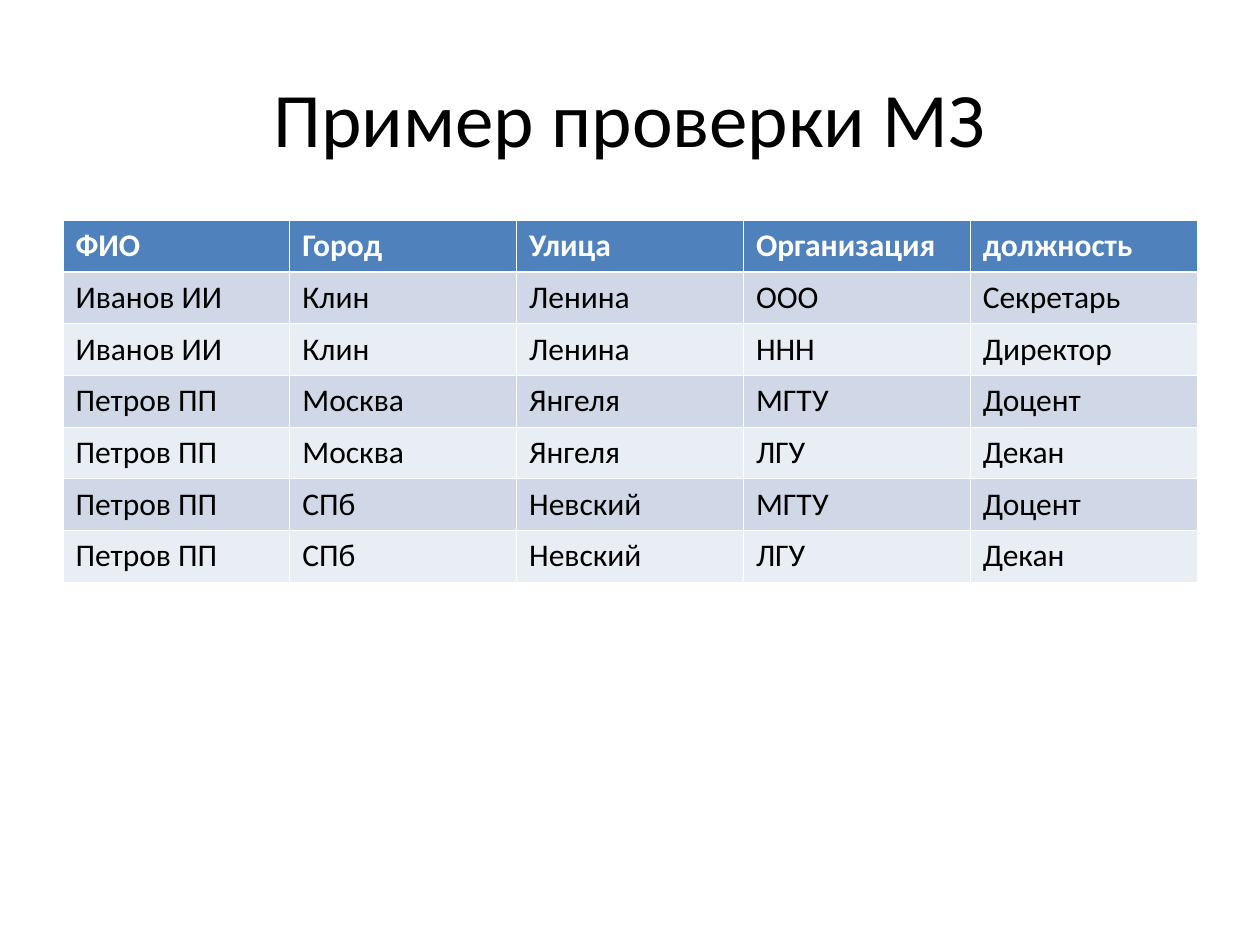
from dataclasses import dataclass

from lxml import etree
from pptx import Presentation
from pptx import util as u
from pptx.dml.color import RGBColor
from pptx.enum import text
from pptx.oxml import ns

COLORS = {
    "header": "4F81BD",
    "odd": "D0D8E8",
    "even": "E9EDF4",
    "light": "FFFFFF",
    "dark": "000000",
}
FONT = "Calibri"
THIN, THICK = 0.45, 1.47
ROW_HEIGHT = 0.41
COLUMN_WIDTH = 1.8

HEADINGS = ("ФИО", "Город", "Улица", "Организация", "должность")
PEOPLE = (
    ("Иванов ИИ", "Клин", "Ленина", "ООО", "Секретарь"),
    ("Иванов ИИ", "Клин", "Ленина", "ННН", "Директор"),
    ("Петров ПП", "Москва", "Янгеля", "МГТУ", "Доцент"),
    ("Петров ПП", "Москва", "Янгеля", "ЛГУ", "Декан"),
    ("Петров ПП", "СПб", "Невский", "МГТУ", "Доцент"),
    ("Петров ПП", "СПб", "Невский", "ЛГУ", "Декан"),
)


@dataclass(frozen=True)
class RowStyle:
    fill: str
    ink: str = "dark"
    bold: bool = False
    top: float = THIN
    bottom: float = THIN


def row_style(index: int) -> RowStyle:
    if index == 0:
        return RowStyle("header", "light", True, bottom=THICK)
    return RowStyle("odd" if index % 2 else "even", top=THICK if index == 1 else THIN)


def add_run(paragraph, wording: str, size: int, ink: str, bold: bool = False) -> None:
    run = paragraph.add_run()
    run.text = wording
    run.font.name = FONT
    run.font.size = u.Pt(size)
    run.font.bold = bold
    run.font.color.rgb = RGBColor.from_string(COLORS[ink])


def add_borders(cell, style: RowStyle) -> None:
    properties = cell._tc.get_or_add_tcPr()
    widths = {"lnL": THIN, "lnR": THIN, "lnT": style.top, "lnB": style.bottom}
    for side, width in widths.items():
        border = etree.SubElement(properties, ns.qn(f"a:{side}"), w=str(u.Pt(width)))
        fill = etree.SubElement(border, ns.qn("a:solidFill"))
        etree.SubElement(fill, ns.qn("a:srgbClr"), val=COLORS["light"])


def fill_cell(cell, wording: str, style: RowStyle) -> None:
    add_borders(cell, style)
    cell.fill.solid()
    cell.fill.fore_color.rgb = RGBColor.from_string(COLORS[style.fill])
    add_run(cell.text_frame.paragraphs[0], wording, 18, style.ink, style.bold)


def add_heading(slide, wording: str) -> None:
    heading = slide.shapes.title
    heading.left, heading.top = u.Inches(0.5), u.Inches(0.3)
    heading.width, heading.height = u.Inches(9), u.Inches(1.25)
    heading.text_frame.vertical_anchor = text.MSO_ANCHOR.MIDDLE
    paragraph = heading.text_frame.paragraphs[0]
    paragraph.alignment = text.PP_ALIGN.CENTER
    add_run(paragraph, wording, 44, "dark")


def add_people_table(slide) -> None:
    rows = (HEADINGS, *PEOPLE)
    people = slide.shapes.add_table(
        len(rows), len(HEADINGS), u.Inches(0.5), u.Inches(1.75),
        u.Inches(COLUMN_WIDTH * len(HEADINGS)), u.Inches(ROW_HEIGHT * len(rows)),
    ).table
    for column in people.columns:
        column.width = u.Inches(COLUMN_WIDTH)
    for index, values in enumerate(rows):
        people.rows[index].height = u.Inches(ROW_HEIGHT)
        for cell, wording in zip(people.rows[index].cells, values):
            fill_cell(cell, wording, row_style(index))


def main() -> None:
    deck = Presentation()
    deck.slide_width, deck.slide_height = u.Inches(10), u.Inches(7.5)
    slide = deck.slides.add_slide(deck.slide_layouts[5])
    add_heading(slide, "Пример проверки МЗ")
    add_people_table(slide)
    deck.save("out.pptx")


if __name__ == "__main__":
    main()
